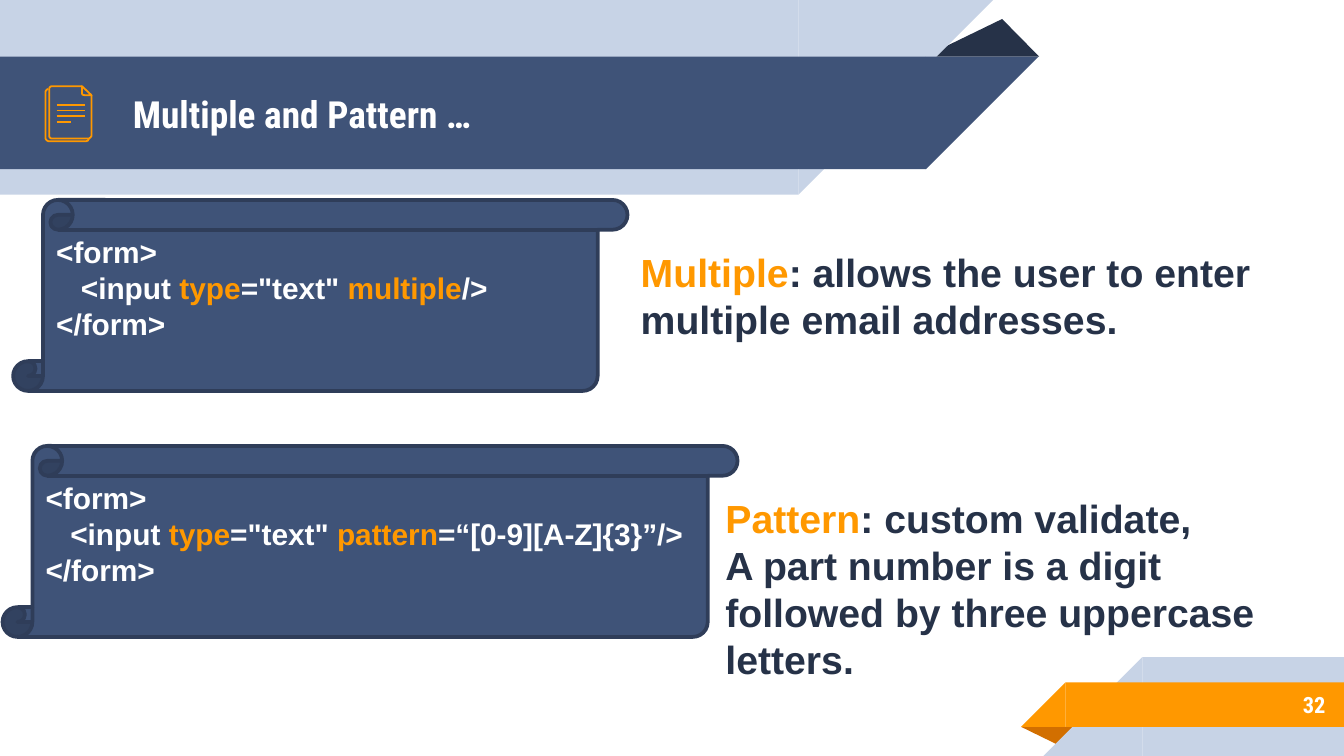
from pptx import Presentation
from pptx.dml.color import RGBColor
from pptx.enum.shapes import MSO_CONNECTOR, MSO_SHAPE
from pptx.enum.text import MSO_ANCHOR, PP_ALIGN
from pptx.oxml.ns import qn
from pptx.util import Cm, Pt
from lxml import etree

NAVY, DARK, EDGE = "3F5378", "263248", "2F3D59"
PALE, ORANGE, RUST, WHITE = "C7D3E6", "FF9800", "D26F00", "FFFFFF"


def rgb(color):
    return RGBColor.from_string(color)


def add_block(s, kind, x, y, w, h, color, flip=False, rotation=0):
    sp = s.shapes.add_shape(kind, Cm(x), Cm(y), Cm(w), Cm(h))
    sp.shadow.inherit = False
    sp.fill.solid()
    sp.fill.fore_color.rgb = rgb(color)
    sp.line.fill.background()
    sp.rotation = rotation
    if flip:
        sp._element.spPr.find(qn("a:xfrm")).set("flipH", "1")
    return sp


def add_fold(s, x, y, w, h, color, flip):
    sp = add_block(s, MSO_SHAPE.ISOSCELES_TRIANGLE, x, y, w, h, color, flip, 180 if not flip else 0)
    sp.adjustments[0] = 0.324
    return sp


def add_top_band(s, y, w, h, color):
    add_block(s, MSO_SHAPE.RECTANGLE, 0, y, w, h, color)
    add_block(s, MSO_SHAPE.RIGHT_TRIANGLE, w, y, h, h, color, True, 180)


def add_bottom_band(s, x, y, h, color):
    add_block(s, MSO_SHAPE.RECTANGLE, x, y, 25.4 - x, h, color)
    add_block(s, MSO_SHAPE.RIGHT_TRIANGLE, x - h, y, h, h, color, True)


def add_outline(s, points, close=False):
    pts = [(Cm(x), Cm(y)) for x, y in points]
    builder = s.shapes.build_freeform(*pts[0])
    builder.add_line_segments(pts[1:], close=close)
    sp = builder.convert_to_shape()
    sp.shadow.inherit = False
    sp.fill.background()
    sp.line.color.rgb = rgb(ORANGE)
    sp.line.width = Pt(0.96)


def add_rule(s, x1, x2, y):
    line = s.shapes.add_connector(MSO_CONNECTOR.STRAIGHT, Cm(x1), Cm(y), Cm(x2), Cm(y))
    line.line.color.rgb = rgb(ORANGE)
    line.line.width = Pt(0.96)
    etree.SubElement(line._element.spPr, qn("a:effectLst"))


def add_document_icon(s):
    add_outline(s, [(1.68, 2.62), (1.66, 2.66), (1.63, 2.67), (0.91, 2.67), (0.88, 2.65),
                    (0.86, 2.62), (0.86, 1.73), (0.88, 1.7), (0.91, 1.68)])
    add_outline(s, [(1.73, 1.8), (1.73, 2.57), (1.71, 2.6), (1.68, 2.62), (0.97, 2.62),
                    (0.94, 2.6), (0.93, 2.57), (0.93, 1.68), (0.94, 1.65), (0.97, 1.63),
                    (1.55, 1.63)])
    add_outline(s, [(1.55, 1.63), (1.73, 1.8), (1.6, 1.8), (1.56, 1.79), (1.55, 1.77)], True)
    for i, right in enumerate([1.6, 1.6, 1.6, 1.35]):
        add_rule(s, 1.07, right, 1.98 + 0.11 * i)


def write(tf, lines, size, color, font="Arial", align=PP_ALIGN.LEFT):
    tf.word_wrap = True
    for i, line in enumerate(lines):
        p = tf.paragraphs[0] if i == 0 else tf.add_paragraph()
        p.alignment = align
        p.font.size = Pt(size)
        p.font.name = font
        p.font.bold = True
        p.font.color.rgb = rgb(color)
        for text, accent in line:
            r = p.add_run()
            r.text = text
            if accent:
                r.font.color.rgb = rgb(ORANGE)


def add_text(s, x, y, w, h, lines, size, color, **style):
    tf = s.shapes.add_textbox(Cm(x), Cm(y), Cm(w), Cm(h)).text_frame
    write(tf, lines, size, color, **style)
    return tf


def add_label(s, x, y, w, h, text, size, align=PP_ALIGN.LEFT):
    tf = add_text(s, x, y, w, h, [[(text, False)]], size, WHITE,
                  font="Roboto Condensed", align=align)
    tf.vertical_anchor = MSO_ANCHOR.MIDDLE
    tf.margin_top = tf.margin_bottom = Cm(0.25)


def add_code_scroll(s, x, y, w, attribute, ending):
    sp = add_block(s, MSO_SHAPE.VERTICAL_SCROLL, x, y, w, 3.61, NAVY)
    sp.adjustments[0] = 0.156
    sp.line.color.rgb = rgb(EDGE)
    sp.line.width = Pt(2)
    tf = sp.text_frame
    tf.vertical_anchor = MSO_ANCHOR.TOP
    tf.margin_top = Cm(0.08)
    write(tf, [
        [("<form>", False)],
        [("   <input ", False), ("type", True), ('="text" ', False),
         (attribute, True), (ending, False)],
        [("</form>", False)],
    ], 16, WHITE)


def main():
    prs = Presentation()
    prs.slide_width, prs.slide_height = Cm(25.4), Cm(14.29)
    s = prs.slides.add_slide(prs.slide_layouts[6])

    add_fold(s, 17.48, 0.36, 2.16, 0.71, DARK, True)
    add_top_band(s, 0, 15.09, 3.68, PALE)
    add_top_band(s, 1.07, 17.5, 2.13, NAVY)
    add_fold(s, 19.3, 13.74, 1.09, 0.36, RUST, False)
    add_bottom_band(s, 21.59, 12.42, 1.87, PALE)
    add_bottom_band(s, 20.14, 12.9, 0.84, ORANGE)

    add_label(s, 2.26, 1.09, 14.6, 2.13, "Multiple and Pattern …", 20)
    add_label(s, 21.16, 12.88, 4.14, 0.89, "32", 12, PP_ALIGN.RIGHT)
    add_document_icon(s)

    add_text(s, 11.86, 4.57, 14.91, 2.06, [
        [("Multiple", True), (": allows the user to enter multiple email addresses.", False)],
    ], 21, DARK)
    add_code_scroll(s, 0.25, 3.78, 11.61, "multiple", "/>")
    add_code_scroll(s, 0.05, 8.43, 13.89, "pattern", "=“[0-9][A-Z]{3}”/>")
    add_text(s, 13.46, 9.22, 14.91, 3.84, [
        [("Pattern", True), (": custom validate,", False)],
        [("A part number is a digit", False)],
        [("followed by three uppercase", False)],
        [("letters.", False)],
    ], 21, DARK)
    prs.save("out.pptx")


if __name__ == "__main__":
    main()
